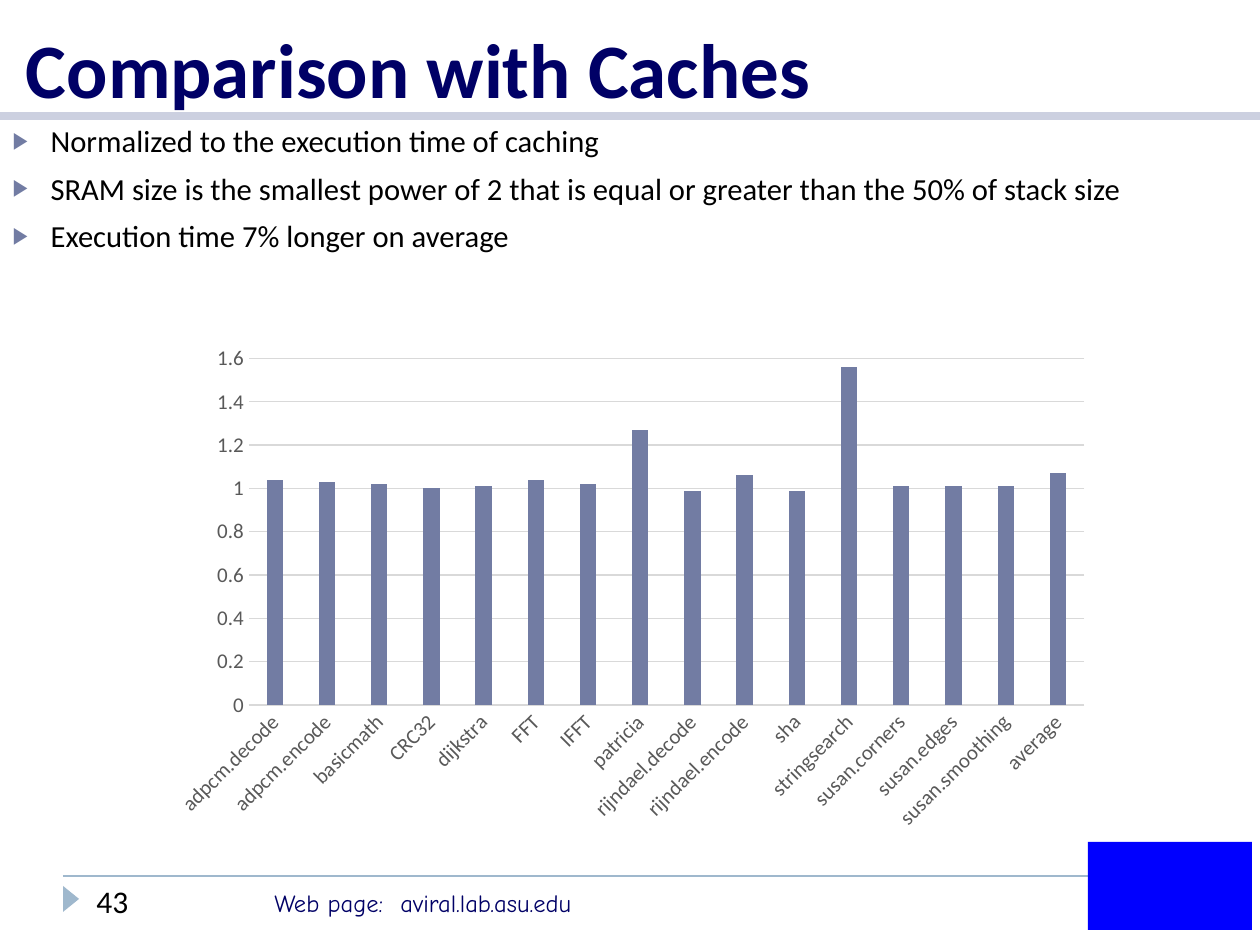
from lxml.etree import SubElement
from pptx import Presentation
from pptx.chart.data import CategoryChartData
from pptx.dml.color import RGBColor
from pptx.enum.chart import XL_CHART_TYPE as ChartType, XL_TICK_MARK as TickMark
from pptx.enum.shapes import MSO_CONNECTOR as Connector, MSO_SHAPE as Shape
from pptx.enum.text import MSO_ANCHOR as Anchor, MSO_AUTO_SIZE as AutoSize, PP_ALIGN as Align
from pptx.oxml.ns import qn
from pptx.util import Pt

PX = 914400 // 126
NAVY = RGBColor(0x00, 0x00, 0x66)
BLUE = RGBColor(0x00, 0x00, 0xFF)
BLACK = RGBColor(0x00, 0x00, 0x00)
SLATE = RGBColor(0x72, 0x7C, 0xA3)
LAVENDER = RGBColor(0xCC, 0xD0, 0xE0)
SKY = RGBColor(0x9F, 0xB8, 0xCD)
GRID = RGBColor(0xD9, 0xD9, 0xD9)
LABEL = RGBColor(0x59, 0x59, 0x59)

POINTS = [
    "Normalized to the execution time of caching",
    "SRAM size is the smallest power of 2 that is equal or greater than the 50% of stack size",
    "Execution time 7% longer on average",
]
RUNTIMES = {
    "adpcm.decode": 1.04, "adpcm.encode": 1.03, "basicmath": 1.02, "CRC32": 1,
    "dijkstra": 1.01, "FFT": 1.04, "IFFT": 1.02, "patricia": 1.27,
    "rijndael.decode": 0.99, "rijndael.encode": 1.06, "sha": 0.99, "stringsearch": 1.56,
    "susan.corners": 1.01, "susan.edges": 1.01, "susan.smoothing": 1.01, "average": 1.07,
}


def px(*lengths):
    return [length * PX for length in lengths]


def place(box, *area):
    box.left, box.top, box.width, box.height = px(*area)


def style(font, size, color, name="Calibri", bold=False):
    font.size, font.name, font.bold = Pt(size), name, bold
    font.color.rgb = color


def add_span(para, text, size, color, **look):
    span = para.add_run()
    span.text = text
    style(span.font, size, color, **look)


def add_line(page, start, end, color, width):
    line = page.shapes.add_connector(Connector.STRAIGHT, *px(*start, *end))
    line.line.color.rgb = color
    line.line.width = Pt(width)
    SubElement(line._element.spPr, qn("a:effectLst"))


def add_block(page, kind, area, color, rotation=0):
    block = page.shapes.add_shape(kind, *px(*area))
    block.shadow.inherit = False
    block.fill.solid()
    block.fill.fore_color.rgb = color
    block.line.fill.background()
    block.rotation = rotation


def add_text(page, area, text, size, color, tab=None, **look):
    box = page.shapes.add_textbox(*px(*area))
    box.text_frame.word_wrap = True
    para = box.text_frame.paragraphs[0]
    if tab:
        stops = SubElement(para._p.get_or_add_pPr(), qn("a:tabLst"))
        SubElement(stops, qn("a:tab"), pos=str(tab * PX), algn="l")
    add_span(para, text, size, color, **look)


def fill_title(box, text):
    place(box, 0, 0, 1260, 116)
    frame = box.text_frame
    frame.auto_size = AutoSize.NONE
    frame.vertical_anchor = Anchor.BOTTOM
    frame.margin_left, frame.margin_bottom = px(26, 2)
    para = frame.paragraphs[0]
    para.alignment = Align.LEFT
    add_span(para, text, 44, NAVY, bold=True)


def add_bullet(para):
    props = para._p.get_or_add_pPr()
    props.set("marL", str(38 * PX))
    props.set("indent", str(-38 * PX))
    color = SubElement(props, qn("a:buClr"))
    SubElement(color, qn("a:srgbClr"), val=str(SLATE))
    SubElement(props, qn("a:buSzPct"), val="76000")
    SubElement(props, qn("a:buChar"), char="▶")


def fill_list(box, points):
    place(box, 0, 116, 1260, 147)
    frame = box.text_frame
    frame.auto_size = AutoSize.NONE
    for index, point in enumerate(points):
        para = frame.add_paragraph() if index else frame.paragraphs[0]
        add_bullet(para)
        para.space_before = Pt(6 if index else 0)
        add_span(para, point, 17.5, BLACK)


def style_axis(axis):
    axis.major_tick_mark = axis.minor_tick_mark = TickMark.NONE
    style(axis.tick_labels.font, 12, LABEL)


def add_runtime_chart(page, runtimes):
    data = CategoryChartData()
    data.categories = list(runtimes)
    data.add_series("Series 1", list(runtimes.values()))
    frame = page.shapes.add_chart(ChartType.COLUMN_CLUSTERED, *px(158, 336, 945, 504), data)
    chart = frame.chart
    chart.has_title = chart.has_legend = False
    style(chart.font, 12, BLACK)

    # Columns
    plot = chart.plots[0]
    plot.gap_width, plot.overlap = 219, -27
    plot.vary_by_categories = False
    fill = plot.series[0].format.fill
    fill.solid()
    fill.fore_color.rgb = SLATE

    # Axes
    names, values = chart.category_axis, chart.value_axis
    style_axis(names)
    style_axis(values)
    names._element.txPr.bodyPr.set("rot", "-2700000")
    values.minimum_scale, values.maximum_scale, values.major_unit = 0, 1.6, 0.2
    values.format.line.fill.background()
    values.tick_labels.number_format = "General"
    values.tick_labels.number_format_is_linked = False
    for rule in (names.format.line, values.major_gridlines.format.line):
        rule.color.rgb = GRID
        rule.width = Pt(0.75)


def main():
    deck = Presentation()
    deck.slide_width, deck.slide_height = px(1260, 945)
    page = deck.slides.add_slide(deck.slide_layouts[1])
    title, body = page.placeholders

    # Rules and footer
    add_line(page, (63, 876), (1092, 876), SKY, 1)
    add_line(page, (0, 116), (1260, 116), LAVENDER, 5)
    add_block(page, Shape.ISOSCELES_TRIANGLE, (58, 891, 26, 16), SKY, rotation=90)
    add_text(page, (262, 882, 473, 43), "Web page:\taviral.lab.asu.edu", 14, NAVY,
             tab=126, name="Comic Neue")
    add_text(page, (84, 876, 178, 50), "43", 18, BLACK)

    # Plain block in the emblem corner
    add_block(page, Shape.RECTANGLE, (1088, 842, 164, 88), BLUE)

    # Content
    fill_title(title, "Comparison with Caches")
    fill_list(body, POINTS)
    add_runtime_chart(page, RUNTIMES)
    deck.save("out.pptx")


if __name__ == "__main__":
    main()
